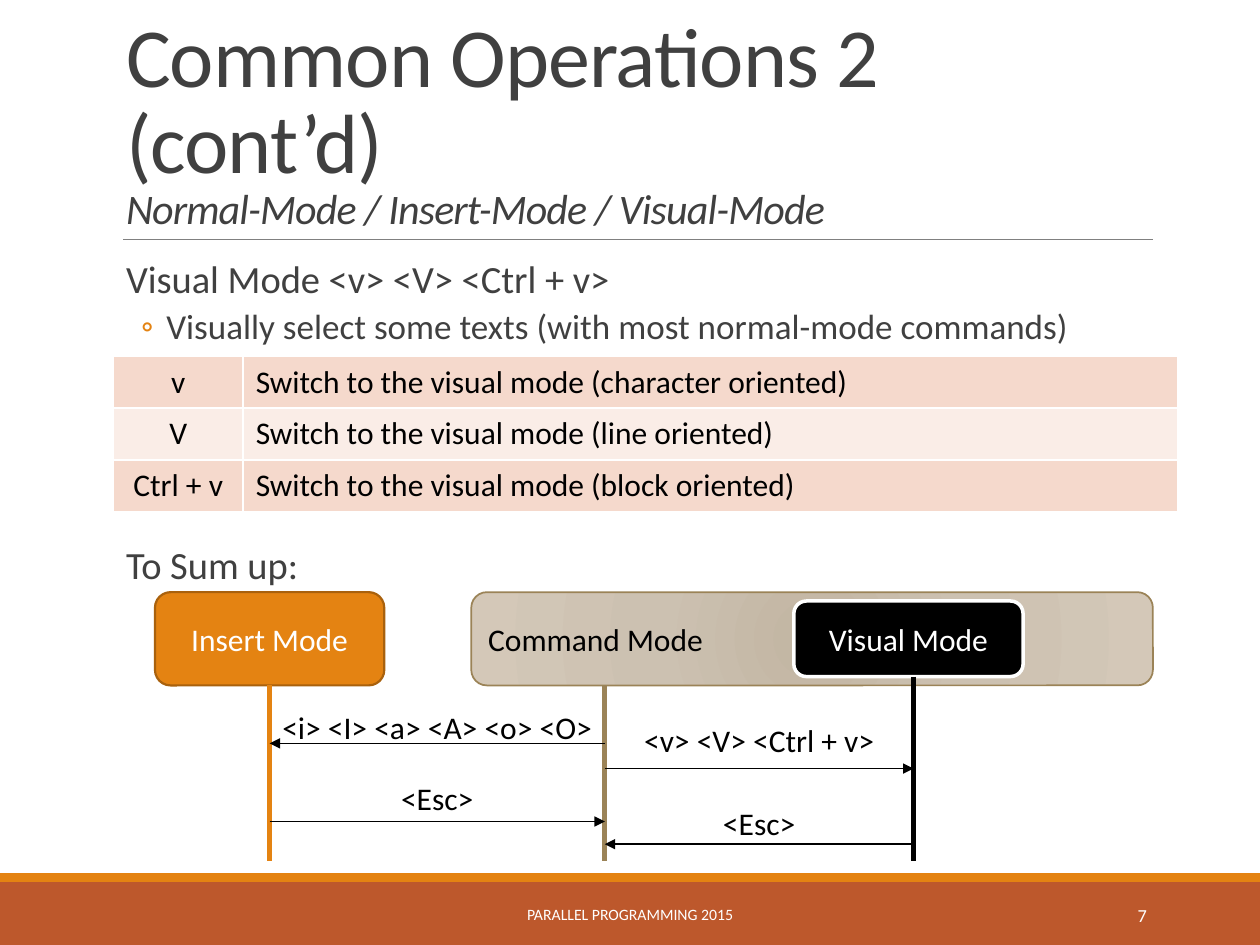
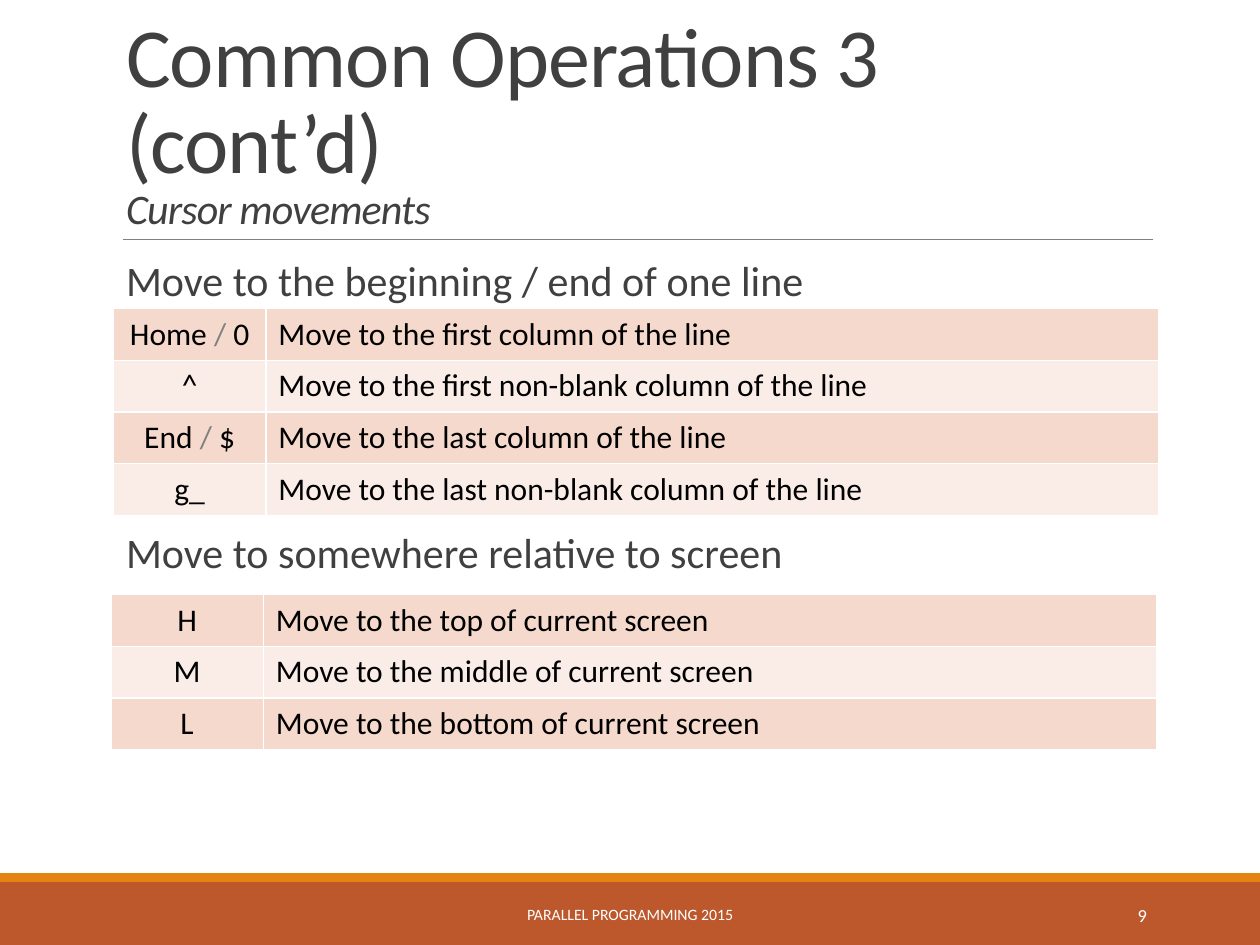
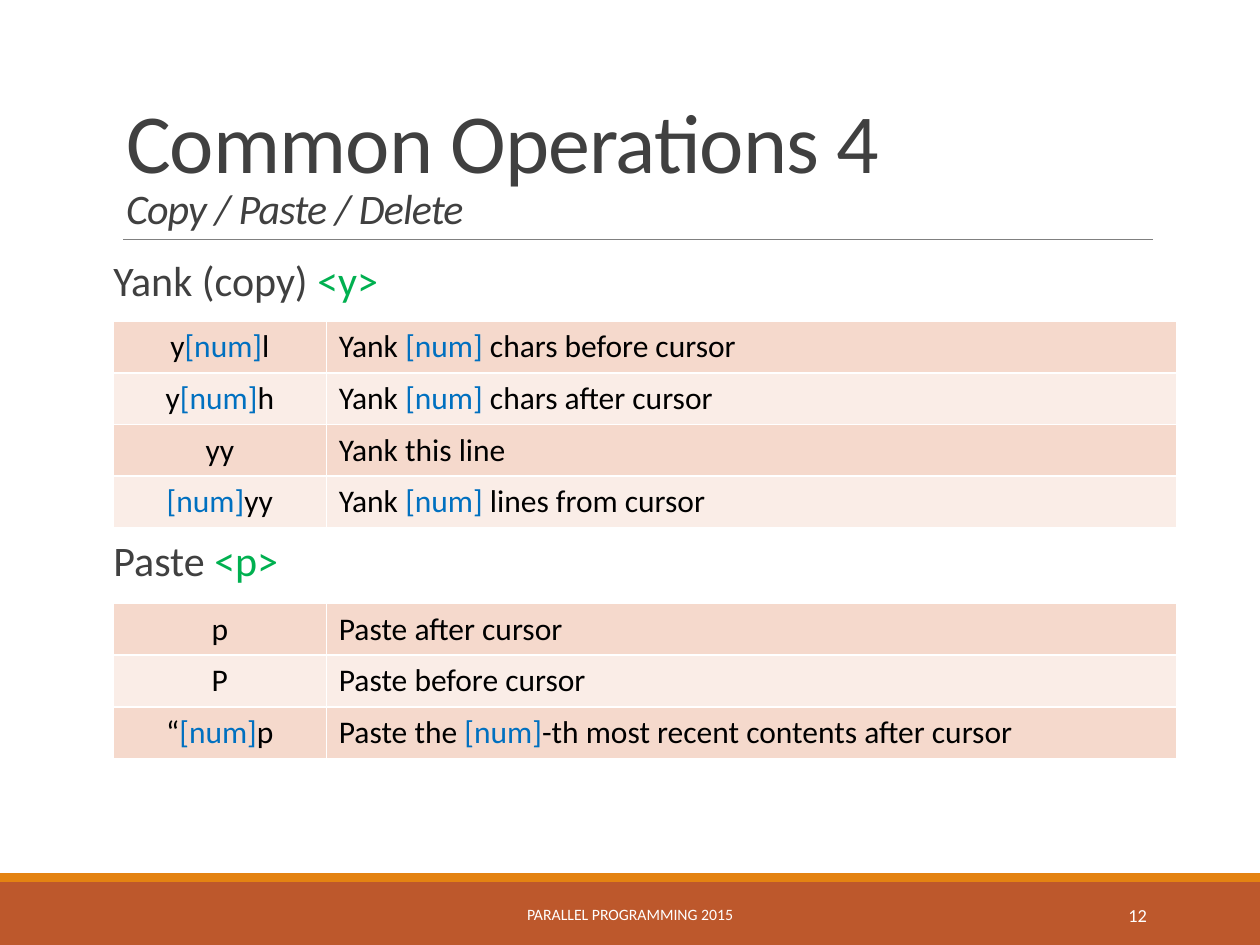
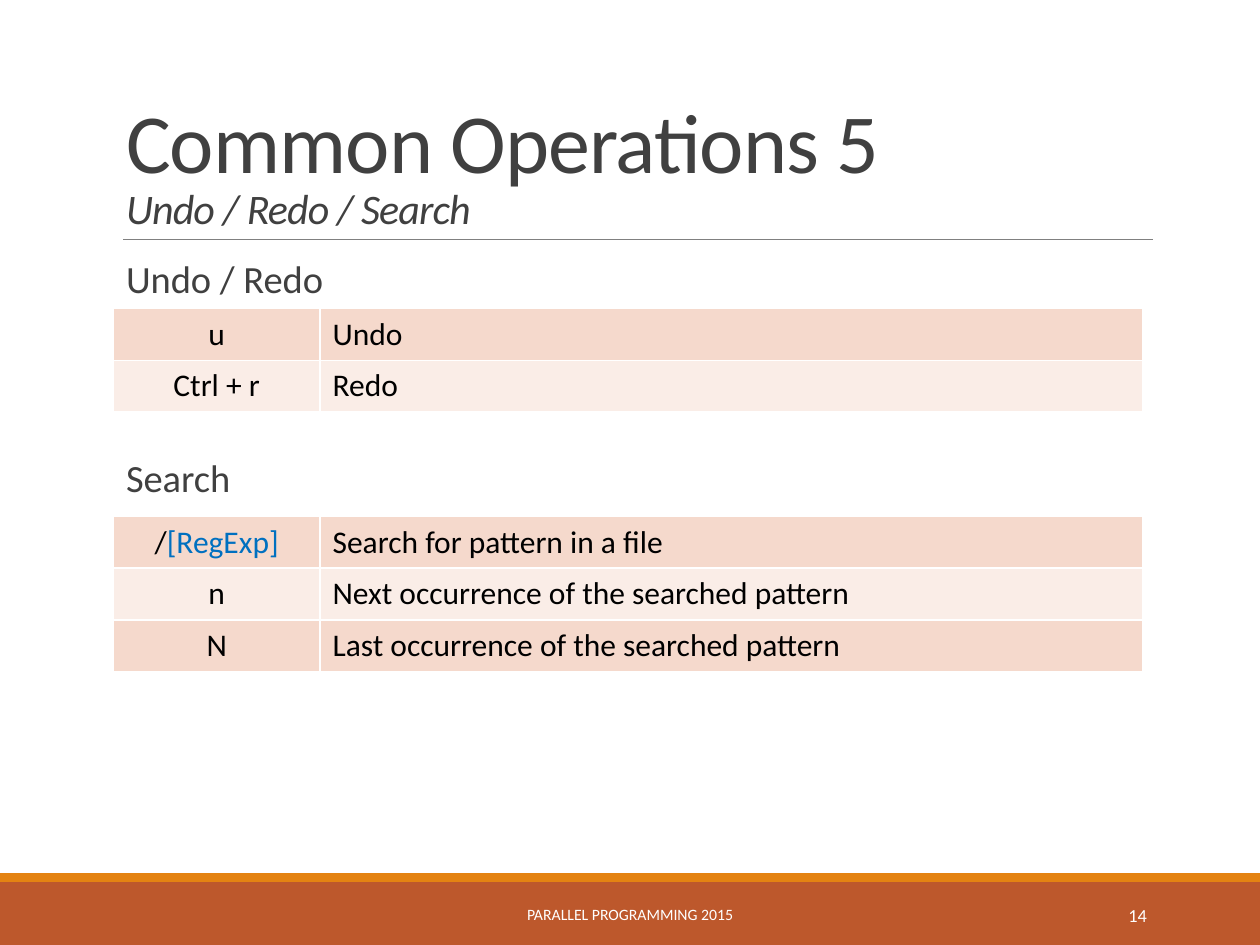
from lxml.etree import SubElement
from pptx import Presentation
from pptx.dml.color import RGBColor
from pptx.enum.shapes import MSO_CONNECTOR as Connector, MSO_SHAPE as Shape
from pptx.enum.text import MSO_ANCHOR as Anchor, MSO_AUTO_SIZE as AutoSize, PP_ALIGN as Align
from pptx.oxml import parse_xml
from pptx.oxml.ns import nsdecls, qn
from pptx.util import Inches, Pt

FONT = "Calibri"
WHITE, BLACK, GREY = "FFFFFF", "000000", "808080"
TEXT, ORANGE, RUST, TAN = "404040", "E48312", "BD582C", "9B8357"
BLUE, GREEN = "0070C0", "00B050"
ROW_FILLS = ("F5D9CC", "FAEDE7")
ROW_HEIGHT = 0.41
BODY = (0.9, 2.02, 8.25, 4.4)
TITLE_ONLY = 5


def rgb(value):
    return RGBColor.from_string(value)


def inches(*values):
    return [Inches(value) for value in values]


def format_run(run, size, color, italic=False):
    run.font.name = FONT
    run.font.size = Pt(size)
    run.font.color.rgb = rgb(color)
    run.font.italic = italic


def write_marked(paragraph, marked, size, color, accent=BLUE):
    for index, piece in enumerate(marked.split("|")):
        if piece:
            run = paragraph.add_run()
            run.text = piece
            format_run(run, size, accent if index % 2 else color)


def add_text(slide, box, text, size, color, align=Align.CENTER, anchor=Anchor.MIDDLE, wrap=True):
    text_frame = slide.shapes.add_textbox(*inches(*box)).text_frame
    text_frame.word_wrap = wrap
    text_frame.vertical_anchor = anchor
    paragraph = text_frame.paragraphs[0]
    paragraph.alignment = align
    write_marked(paragraph, text, size, color)


def add_block(slide, box, kind, fill=None, line=None, width=1):
    shape = slide.shapes.add_shape(kind, *inches(*box))
    shape.shadow.inherit = False
    if fill:
        shape.fill.solid()
        shape.fill.fore_color.rgb = rgb(fill)
    if line:
        shape.line.color.rgb = rgb(line)
        shape.line.width = Pt(width)
    else:
        shape.line.fill.background()
    return shape


def add_line(slide, start, end, color, width, arrow=False):
    connector = slide.shapes.add_connector(Connector.STRAIGHT, *inches(*start, *end))
    connector.line.color.rgb = rgb(color)
    connector.line.width = Pt(width)
    if arrow:
        SubElement(connector.line._get_or_add_ln(), qn("a:tailEnd"), type="triangle")
    SubElement(connector._element.spPr, qn("a:effectLst"))


def add_title(slide, heading, subtitle):
    title = slide.shapes.title
    title.left, title.top, title.width, title.height = inches(0.9, 0.31, 8.25, 1.59)
    text_frame = title.text_frame
    text_frame.word_wrap = True
    text_frame.auto_size = AutoSize.NONE
    text_frame.vertical_anchor = Anchor.BOTTOM
    paragraph = text_frame.paragraphs[0]
    paragraph.text = f"{heading}\n{subtitle}"
    paragraph.alignment = Align.LEFT
    paragraph.line_spacing = 0.85
    for run, size, italic in zip(paragraph.runs, (48, 24), (False, True)):
        format_run(run, size, TEXT, italic)
        run.font._element.set("spc", "-50")


def add_frame(slide, number):
    add_block(slide, (0, 7, 10, 0.5), Shape.RECTANGLE, RUST)
    add_block(slide, (0, 6.93, 10, 0.07), Shape.RECTANGLE, ORANGE)
    add_line(slide, (0.98, 1.9), (9.15, 1.9), GREY, 0.5)
    add_text(slide, (3.02, 7.06, 3.96, 0.4), "PARALLEL PROGRAMMING 2015", 9, WHITE)
    add_text(slide, (8.12, 7.06, 1.08, 0.4), str(number), 10.5, WHITE, Align.RIGHT)


def new_slide(presentation, number, heading, subtitle):
    slide = presentation.slides.add_slide(presentation.slide_layouts[TITLE_ONLY])
    add_frame(slide, number)
    add_title(slide, heading, subtitle)
    return slide


def set_bullet(paragraph, margin, indent, character=None):
    properties = paragraph._p.get_or_add_pPr()
    properties.set("marL", str(Inches(margin)))
    properties.set("indent", str(Inches(indent)))
    if character:
        color = SubElement(properties, qn("a:buClr"))
        SubElement(color, qn("a:srgbClr"), val=ORANGE)
        SubElement(properties, qn("a:buFont"), typeface=FONT)
        SubElement(properties, qn("a:buChar"), char=character)


def add_body(slide, first, second, gap, size, margin=0.1, detail=None):
    text_frame = slide.shapes.add_textbox(*inches(*BODY)).text_frame
    text_frame.word_wrap = True
    text_frame.margin_left = text_frame.margin_right = 0
    lines = [(first, size, 12, 2), (second, size, gap, 2)]
    if detail:
        lines.insert(1, (detail, 20, 2, 4))
    for index, (text, text_size, before, after) in enumerate(lines):
        paragraph = text_frame.add_paragraph() if index else text_frame.paragraphs[0]
        paragraph.line_spacing = 0.9
        paragraph.space_before = Pt(before)
        paragraph.space_after = Pt(after)
        if text == detail:
            set_bullet(paragraph, 0.42, -0.2, "◦")
        else:
            set_bullet(paragraph, margin, 0)
        write_marked(paragraph, text, text_size, TEXT, GREEN)


def set_borders(cell):
    properties = cell._tc.get_or_add_tcPr()
    for side in ("lnL", "lnR", "lnT", "lnB"):
        line = SubElement(properties, qn(f"a:{side}"), w=str(Pt(1)))
        fill = SubElement(line, qn("a:solidFill"))
        SubElement(fill, qn("a:srgbClr"), val=WHITE)


def add_commands(slide, left, top, widths, rows, accent=BLUE):
    box = inches(left, top, sum(widths), ROW_HEIGHT * len(rows))
    table = slide.shapes.add_table(len(rows), len(widths), *box).table
    table.first_row = table.horz_banding = False
    for column, width in zip(table.columns, widths):
        column.width = Inches(width)
    for row_index, texts in enumerate(rows):
        table.rows[row_index].height = Inches(ROW_HEIGHT)
        for column_index, text in enumerate(texts):
            cell = table.cell(row_index, column_index)
            set_borders(cell)
            cell.fill.solid()
            cell.fill.fore_color.rgb = rgb(ROW_FILLS[row_index % 2])
            cell.vertical_anchor = Anchor.MIDDLE
            paragraph = cell.text_frame.paragraphs[0]
            paragraph.alignment = Align.LEFT if column_index else Align.CENTER
            write_marked(paragraph, text, 18, BLACK, accent)


def set_radial_fill(shape, stops):
    stop_list = "".join(
        f'<a:gs pos="{position * 1000}"><a:srgbClr val="{color}"/></a:gs>' for position, color in stops
    )
    shape._element.spPr.insert(2, parse_xml(
        f'<a:gradFill {nsdecls("a")}><a:gsLst>{stop_list}</a:gsLst><a:path path="circle">'
        '<a:fillToRect l="100000" t="100000" r="100000" b="100000"/></a:path></a:gradFill>'
    ))


def add_mode(slide, box, name, fill, line, width, color=WHITE, align=Align.CENTER):
    shape = add_block(slide, box, Shape.ROUNDED_RECTANGLE, fill, line, width)
    shape.text_frame.vertical_anchor = Anchor.MIDDLE
    paragraph = shape.text_frame.paragraphs[0]
    paragraph.alignment = align
    write_marked(paragraph, name, 18, color)
    return shape


def add_mode_diagram(slide, left, top):
    add_mode(slide, (left, top, 1.82, 0.74), "Insert Mode", ORANGE, "A9610D", 1.25)
    command = add_mode(slide, (left + 2.51, top, 5.41, 0.74), "Command Mode", None, TAN, 1, BLACK, Align.LEFT)
    set_radial_fill(command, [(0, "C2B5A2"), (45, "CCC1B1"), (100, "D4C8B8")])
    add_mode(slide, (left + 5.07, top + 0.07, 1.82, 0.6), "Visual Mode", BLACK, WHITE, 2)

    insert_x, command_x, visual_x = left + 0.91, left + 3.57, left + 6.02
    lifelines = [(insert_x, 0.74, ORANGE), (command_x, 0.74, TAN), (visual_x, 0.67, BLACK)]
    for x, start, color in lifelines:
        add_line(slide, (x, top + start), (x, top + 2.13), color, 3)

    switches = [
        (command_x, insert_x, 1.2, "<i> <I> <a> <A> <o> <O>", 0.87),
        (visual_x, command_x, 2, "<Esc>", 1.63),
        (command_x, visual_x, 1.4, "<v> <V> <Ctrl + v>", 0.97),
        (insert_x, command_x, 1.82, "<Esc>", 1.43),
    ]
    for start, end, y, keys, label_y in switches:
        add_line(slide, (start, top + y), (end, top + y), BLACK, 1, arrow=True)
        label = (min(start, end), top + label_y, abs(end - start), 0.4)
        add_text(slide, label, keys, 18, BLACK, anchor=Anchor.TOP, wrap=False)


def build_modes(presentation):
    slide = new_slide(presentation, 7, "Common Operations 2 (cont’d)", "Normal-Mode / Insert-Mode / Visual-Mode")
    add_body(slide, "Visual Mode <v> <V> <Ctrl + v>", "To Sum up:", 110, 22,
             detail="Visually select some texts (with most normal-mode commands)")
    add_commands(slide, 0.9, 2.83, (1.03, 7.42), [
        ("v", "Switch to the visual mode (character oriented)"),
        ("V", "Switch to the visual mode (line oriented)"),
        ("Ctrl + v", "Switch to the visual mode (block oriented)"),
    ])
    add_mode_diagram(slide, 1.23, 4.7)


def build_movements(presentation):
    slide = new_slide(presentation, 9, "Common Operations 3 (cont’d)", "Cursor movements")
    add_body(slide, "Move to the beginning / end of one line", "Move to somewhere relative to screen", 127, 24)
    widths = (1.21, 7.09)
    add_commands(slide, 0.9, 2.45, widths, [
        ("Home |/| 0", "Move to the first column of the line"),
        ("^", "Move to the first non-blank column of the line"),
        ("End |/| $", "Move to the last column of the line"),
        ("g_", "Move to the last non-blank column of the line"),
    ], GREY)
    add_commands(slide, 0.88, 4.72, widths, [
        ("H", "Move to the top of current screen"),
        ("M", "Move to the middle of current screen"),
        ("L", "Move to the bottom of current screen"),
    ])


def build_copying(presentation):
    slide = new_slide(presentation, 12, "Common Operations 4", "Copy / Paste / Delete")
    add_body(slide, "Yank (copy) |<y>", "Paste |<p>", 132, 24, margin=0)
    widths = (1.69, 6.75)
    add_commands(slide, 0.9, 2.55, widths, [
        ("y|[num]|l", "Yank |[num] |chars before cursor"),
        ("y|[num]|h", "Yank |[num] |chars after cursor"),
        ("yy", "Yank this line"),
        ("|[num]|yy", "Yank |[num] |lines from cursor"),
    ])
    add_commands(slide, 0.9, 4.79, widths, [
        ("p", "Paste after cursor"),
        ("P", "Paste before cursor"),
        ("“|[num]|p", "Paste the |[num]|-th most recent contents after cursor"),
    ])


def build_searching(presentation):
    slide = new_slide(presentation, 14, "Common Operations 5", "Undo / Redo / Search")
    add_body(slide, "Undo / Redo", "Search", 88, 22)
    widths = (1.64, 6.53)
    add_commands(slide, 0.9, 2.45, widths, [("u", "Undo"), ("Ctrl + r", "Redo")])
    add_commands(slide, 0.9, 4.1, widths, [
        ("/|[RegExp]", "Search for pattern in a file"),
        ("n", "Next occurrence of the searched pattern"),
        ("N", "Last occurrence of the searched pattern"),
    ])


def main():
    presentation = Presentation()
    presentation.slide_width, presentation.slide_height = inches(10, 7.5)
    for build in (build_modes, build_movements, build_copying, build_searching):
        build(presentation)
    presentation.save("out.pptx")


if __name__ == "__main__":
    main()
